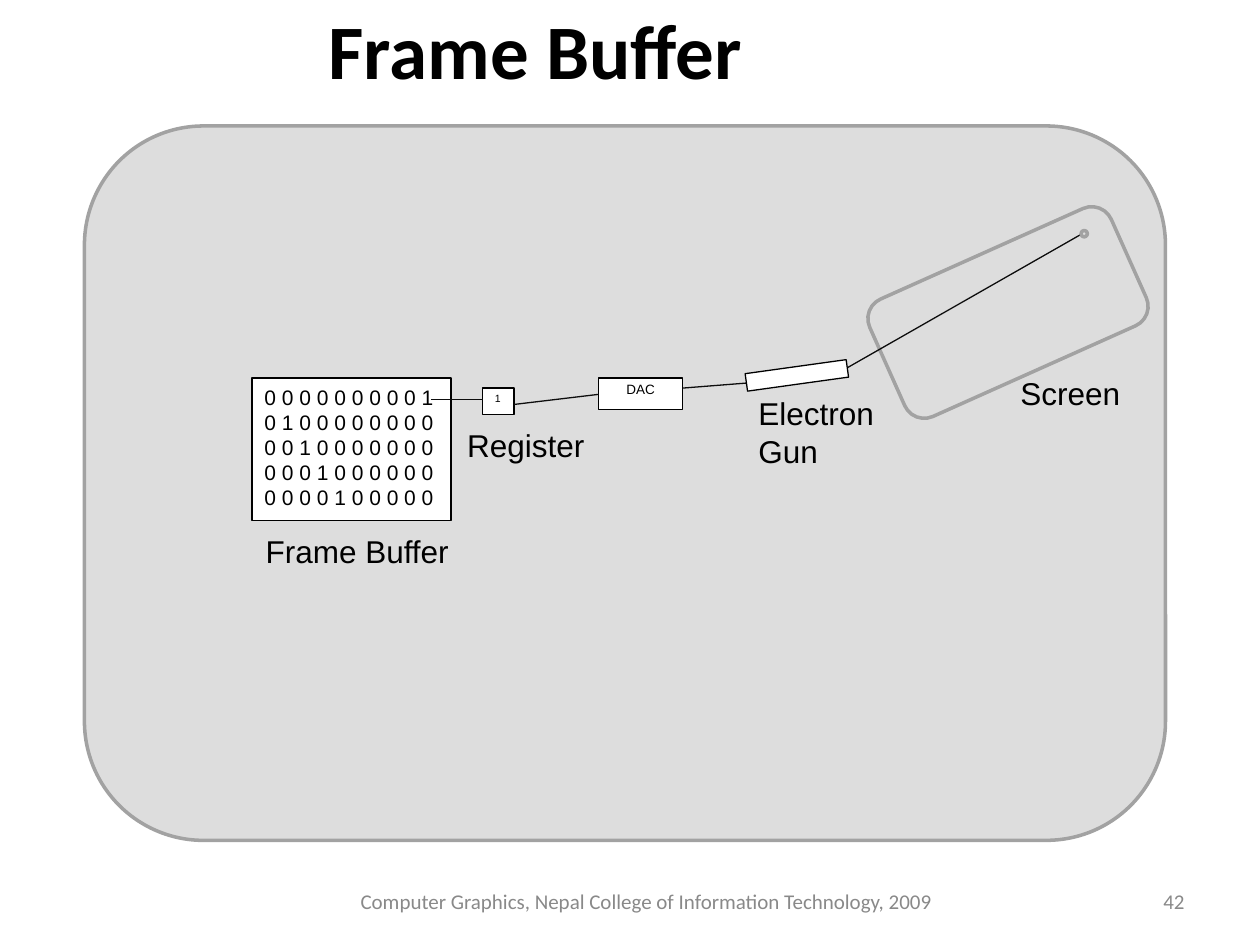
from lxml import etree
from pptx import Presentation
from pptx.dml.color import RGBColor
from pptx.enum import shapes, text
from pptx.oxml import ns
from pptx.util import Inches, Pt

BLACK = RGBColor(0x00, 0x00, 0x00)
WHITE = RGBColor(0xFF, 0xFF, 0xFF)
BEAM = RGBColor(0x0D, 0x0D, 0x0D)
PANEL_FILL = RGBColor(0xDD, 0xDD, 0xDD)
PANEL_LINE = RGBColor(0xA2, 0xA2, 0xA2)
FOOTER_GRAY = RGBColor(0x89, 0x89, 0x89)
LEFT, CENTER, RIGHT = text.PP_ALIGN.LEFT, text.PP_ALIGN.CENTER, text.PP_ALIGN.RIGHT
RECTANGLE = shapes.MSO_SHAPE.RECTANGLE
ROUNDED = shapes.MSO_SHAPE.ROUNDED_RECTANGLE
OVAL = shapes.MSO_SHAPE.OVAL

BUFFER_ROWS = (
    "0 0 0 0 0 0 0 0 0 1 0 1 0 0 0 0 0 0 0 0\n"
    "0 0 1 0 0 0 0 0 0 0\n"
    "0 0 0 1 0 0 0 0 0 0\n"
    "0 0 0 0 1 0 0 0 0 0"
)


def inches(*lengths):
    return [Inches(length) for length in lengths]


def write(shape, words, size, font="Arial", color=BLACK, align=LEFT,
          anchor=text.MSO_ANCHOR.TOP, wrap=True, bold=False, spacing=1.0):
    frame = shape.text_frame
    frame.text = words
    frame.word_wrap = wrap
    frame.vertical_anchor = anchor
    for paragraph in frame.paragraphs:
        paragraph.alignment = align
        paragraph.line_spacing = spacing
        for run in paragraph.runs:
            run.font.name = font
            run.font.size = Pt(size)
            run.font.bold = bold
            run.font.color.rgb = color


def add_block(slide, kind, box, fill, line, width, rotation=0):
    shape = slide.shapes.add_shape(kind, *inches(*box))
    shape.shadow.inherit = False
    shape.fill.solid()
    shape.fill.fore_color.rgb = fill
    shape.line.color.rgb = line
    shape.line.width = Pt(width)
    shape.rotation = rotation
    return shape


def add_gray(slide, kind, box, rotation=0):
    return add_block(slide, kind, box, PANEL_FILL, PANEL_LINE, 2, rotation)


def add_white(slide, box, rotation=0):
    return add_block(slide, RECTANGLE, box, WHITE, BLACK, 0.75, rotation)


def add_wire(slide, start, end):
    wire = slide.shapes.add_connector(
        shapes.MSO_CONNECTOR.STRAIGHT, *inches(*start, *end))
    wire.line.color.rgb = BEAM
    wire.line.width = Pt(0.75)
    etree.SubElement(wire._element.spPr, ns.qn("a:effectLst"))


def add_label(slide, words, box):
    label = slide.shapes.add_textbox(*inches(*box))
    write(label, words, 18, wrap=False)


def place_title(slide, box):
    title = slide.shapes.title
    title.left, title.top, title.width, title.height = inches(*box)
    write(title, "Frame Buffer", 44, "Calibri", align=CENTER,
          anchor=text.MSO_ANCHOR.MIDDLE, bold=True)


def add_footer(slide, box):
    left, top, width, height = box
    parts = (
        ("Computer Graphics, Nepal College of Information Technology, 2009",
         left, 4.92, CENTER),
        ("42", left + width - 2.33, 2.33, RIGHT),
    )
    for words, part_left, part_width, align in parts:
        part = slide.shapes.add_textbox(*inches(part_left, top, part_width, height))
        write(part, words, 12, "Calibri", FOOTER_GRAY, align, text.MSO_ANCHOR.MIDDLE)


def add_diagram(slide, box):
    left, top = box[:2]

    def at(x, y, *size):
        return (left + x, top + y, *size)

    add_gray(slide, ROUNDED, box)

    frame_buffer = add_white(slide, at(1.33, 2, 1.58, 1.13))
    write(frame_buffer, BUFFER_ROWS, 12)
    register = add_white(slide, at(3.16, 2.08, 0.25, 0.21))
    write(register, "1", 6, spacing=0.8)
    converter = add_white(slide, at(4.08, 2, 0.67, 0.25))
    write(converter, "DAC", 7.7, align=CENTER, spacing=0.8)
    add_gray(slide, ROUNDED, at(6.28, 0.97, 2.1, 1.02), 335.9)

    wires = (
        (at(2.75, 2.17), at(3.16, 2.17)),
        (at(3.41, 2.21), at(4.08, 2.13)),
        (at(4.75, 2.08), at(5.26, 2.04)),
        (at(6, 1.95), at(7.91, 0.86)),
    )
    for start, end in wires:
        add_wire(slide, start, end)
    add_gray(slide, OVAL, at(7.91, 0.83, 0.05, 0.05))
    add_white(slide, at(5.25, 1.91, 0.81, 0.14), 352.1)

    labels = (
        ("Frame Buffer", at(1.34, 3.17, 1.66, 0.4)),
        ("Register", at(2.94, 2.33, 1.13, 0.4)),
        ("Electron\nGun", at(5.25, 2.08, 1.18, 0.7)),
        ("Screen", at(7.33, 1.92, 0.99, 0.4)),
    )
    for words, label_box in labels:
        add_label(slide, words, label_box)


def main():
    presentation = Presentation()
    presentation.slide_width, presentation.slide_height = inches(10, 7.5)
    slide = presentation.slides.add_slide(presentation.slide_layouts[5])
    place_title(slide, (0, -0.42, 8.5, 1.61))
    add_footer(slide, (2.67, 6.95, 6.83, 0.4))
    add_diagram(slide, (0.67, 1, 8.58, 5.67))
    presentation.save("out.pptx")


if __name__ == "__main__":
    main()
